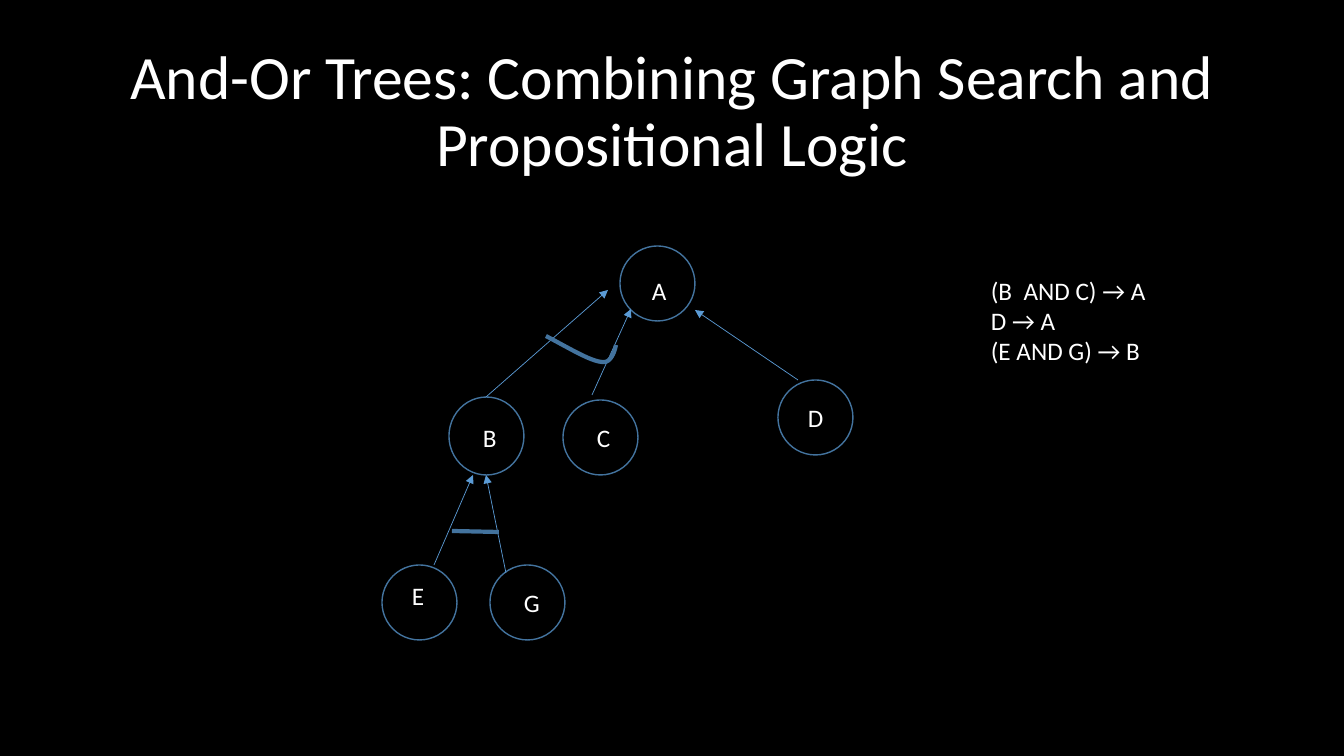
from lxml import etree
from pptx import Presentation
from pptx.dml.color import RGBColor
from pptx.enum.shapes import MSO_CONNECTOR, MSO_SHAPE
from pptx.enum.text import MSO_ANCHOR as ANCHOR, MSO_AUTO_SIZE as FIT, PP_ALIGN as ALIGN
from pptx.oxml.ns import qn
from pptx.util import Pt

BLACK = RGBColor(0x00, 0x00, 0x00)
WHITE = RGBColor(0xFF, 0xFF, 0xFF)
OUTLINE = RGBColor(0x43, 0x73, 0x9E)
ARROW = RGBColor(0x5B, 0x9B, 0xD5)
FONT = "Calibri"
EMU_PER_PX = 914400 / 100.8
NODE_SIZE = 75

NODES = [
    ("E", (382, 565), NODE_SIZE, (402, 575, 32)),
    ("C", (563, 400), NODE_SIZE, (587, 417, 34)),
    ("D", (778, 380), NODE_SIZE, (798, 397, 36)),
    ("A", (620, 246), NODE_SIZE, (642, 270, 35)),
    ("B", (449, 397), 78, (473, 417, 34)),
    ("G", (490, 565), NODE_SIZE, (514, 582, 36)),
]
EDGES = [
    ((798, 380), (695, 310)),
    ((486, 397), (608, 290)),
    ((592, 395), (631, 309)),
    ((434, 565), (473, 475)),
    ((506, 573), (486, 475)),
]
AND_CURVES = [
    ((546, 336), (569, 348), (590, 361), (602, 362)),
    ((602, 362), (613, 364), (616, 345), (616, 345)),
]
AND_BAR = [(452, 531), (499, 532)]
RULES = ["(B  AND C) → A", "D → A", "(E AND G) → B"]


def px(*values):
    """Convert picture pixels to EMU."""
    return [round(v * EMU_PER_PX) for v in values]


def style_text(p, size):
    """Give a paragraph the slide's font, size and colour."""
    p.font.name = FONT
    p.font.size = Pt(size)
    p.font.color.rgb = WHITE


def set_line(sp, color, width):
    """Set the line colour and width of a shape or connector."""
    sp.line.color.rgb = color
    sp.line.width = Pt(width)


def add_title(s, text):
    """Place and format the title placeholder."""
    sp = s.shapes.title
    sp.left, sp.top, sp.width, sp.height = px(93, 40, 1159, 146)
    tf = sp.text_frame
    tf.text = text
    tf.auto_size = FIT.NONE
    tf.vertical_anchor = ANCHOR.MIDDLE
    p = tf.paragraphs[0]
    p.alignment = ALIGN.CENTER
    p.line_spacing = 0.9
    style_text(p, 44)


def add_text(s, box, lines, wrap):
    """Add a text box with one paragraph per line."""
    tf = s.shapes.add_textbox(*px(*box)).text_frame
    tf.word_wrap = wrap
    tf.auto_size = FIT.SHAPE_TO_FIT_TEXT
    tf.text = "\n".join(lines)
    for p in tf.paragraphs:
        style_text(p, 18)


def add_circle(s, left, top, height):
    """Add the outline of a tree node."""
    sp = s.shapes.add_shape(MSO_SHAPE.OVAL, *px(left, top, NODE_SIZE, height))
    sp.shadow.inherit = False
    sp.fill.background()
    set_line(sp, OUTLINE, 1)


def add_arrow(s, start, end):
    """Add an arrow from a child node to its parent."""
    cxn = s.shapes.add_connector(MSO_CONNECTOR.STRAIGHT, *px(*start, *end))
    set_line(cxn, ARROW, 0.5)
    etree.SubElement(cxn.line._get_or_add_ln(), qn("a:tailEnd"), type="triangle")
    etree.SubElement(cxn._element.spPr, qn("a:effectLst"))


def bezier(curve, steps=12):
    """Return points along a cubic curve."""
    points = []
    for i in range(steps + 1):
        t = i / steps
        weights = ((1 - t) ** 3, 3 * t * (1 - t) ** 2, 3 * t * t * (1 - t), t ** 3)
        points.append(tuple(sum(w * c for w, c in zip(weights, axis)) for axis in zip(*curve)))
    return points


def add_and_mark(s, points):
    """Add the thick open stroke that joins the edges of an AND."""
    start, *rest = [px(*point) for point in points]
    builder = s.shapes.build_freeform(*start)
    builder.add_line_segments(rest, close=False)
    sp = builder.convert_to_shape()
    sp.shadow.inherit = False
    sp.fill.background()
    set_line(sp, OUTLINE, 3)


def main():
    """Build and save the slide."""
    prs = Presentation()
    prs.slide_width, prs.slide_height = px(1344, 756)
    s = prs.slides.add_slide(prs.slide_layouts[5])
    s.background.fill.solid()
    s.background.fill.fore_color.rgb = BLACK
    add_title(s, "And-Or Trees: Combining Graph Search and Propositional Logic")
    for name, corner, height, (left, top, width) in NODES:
        add_circle(s, *corner, height)
        add_text(s, (left, top, width, 40), [name], wrap=False)
    for start, end in EDGES:
        add_arrow(s, start, end)
    first, second = map(bezier, AND_CURVES)
    add_and_mark(s, first + second[1:])
    add_and_mark(s, AND_BAR)
    add_text(s, (981, 270, 270, 102), RULES, wrap=True)
    prs.save("out.pptx")


main()
